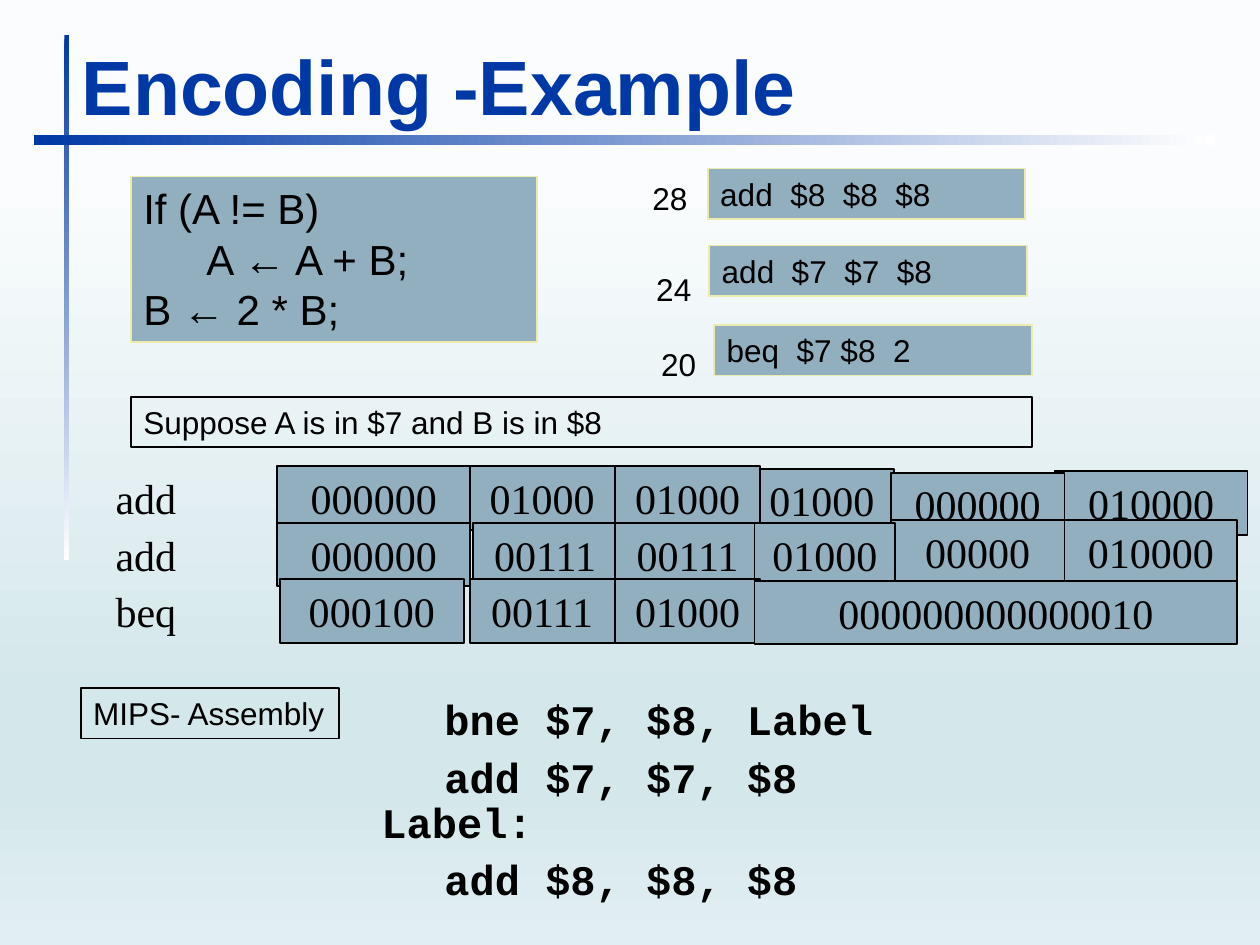
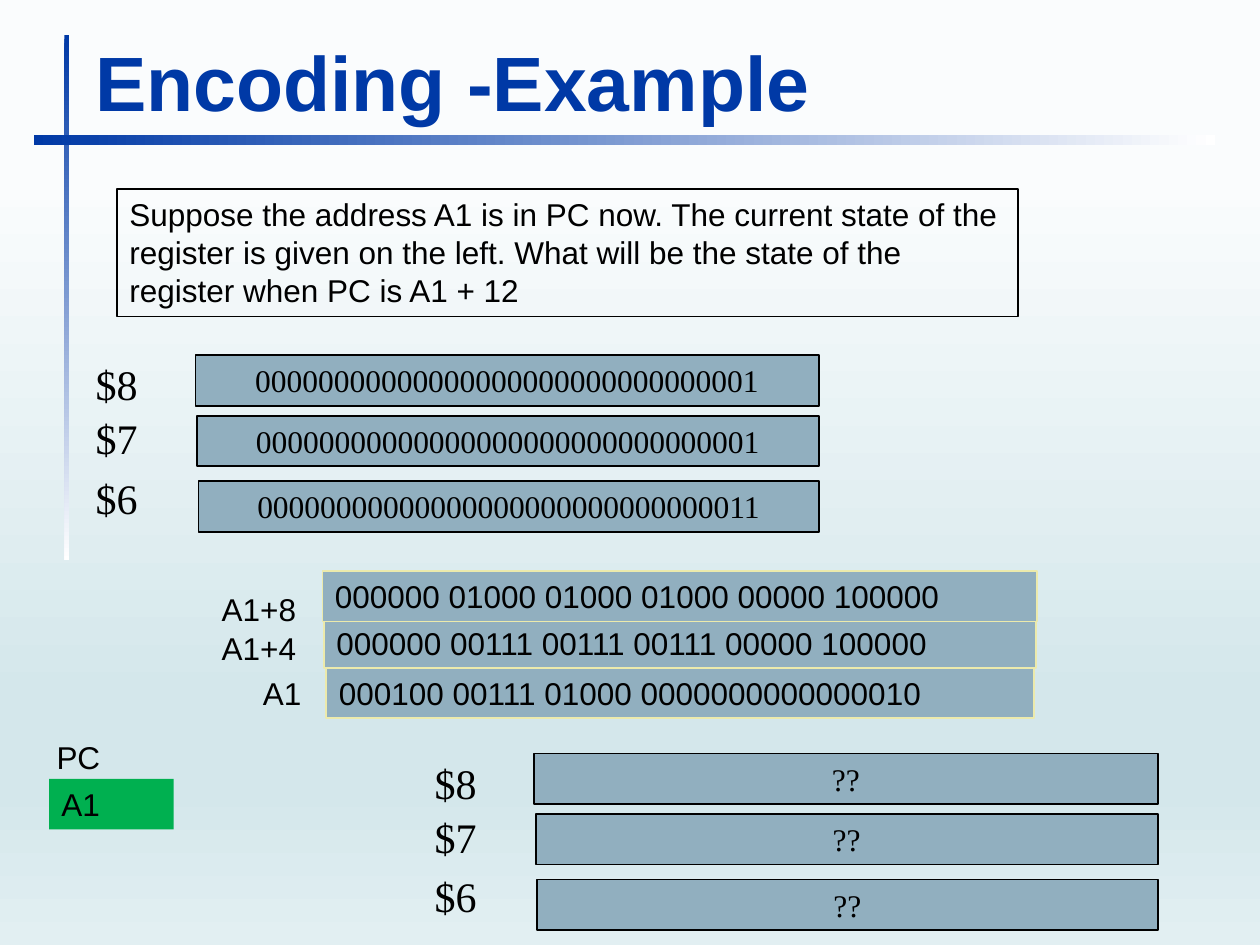
from copy import deepcopy
from pptx import Presentation
from pptx.dml.color import RGBColor
from pptx.enum.shapes import MSO_SHAPE
from pptx.enum.text import MSO_ANCHOR, PP_ALIGN
from pptx.oxml.ns import qn
from pptx.util import Cm, Pt

HUE = {"blue": "0039A6", "steel": "91AFBF", "sand": "ECEAAC",
       "green": "00B050", "black": "000000", "white": "FFFFFF"}
SKY = [(19, "FAFCFD"), (74, "D4E7EB"), (83, "D4E7EB"), (100, "E2EFF2")]
FADE = [(0, HUE["blue"]), (100, HUE["white"])]
BARS = [((1.3, 0.71, 0.1, 10.59), 270), ((0.69, 2.72, 23.8, 0.2), 0)]
TITLE = "Encoding -Example"
SERIF, MONO = "Times New Roman", "Courier New"
LINE, CELL = 1.02, 1.28

CODE = "If (A != B)\v\tA ← A + B;\vB ← 2 * B;"
STEPS = [
    ("20", (13.08, 6.83), "beq  $7 $8  2", (14.4, 6.55)),
    ("24", (12.98, 5.31), "add  $7  $7  $8", (14.3, 4.95)),
    ("28", (12.9, 3.48), "add  $8  $8  $8", (14.27, 3.4)),
]
ROWS = [
    ("add", [("010000", 21.26, 0.1, 3.89), ("01000", 15.11, 0.05, 2.92),
             ("000000", 17.96, 0.13, 3.5), ("000000", 5.59, 0, 3.89),
             ("01000", 9.47, 0, 2.92), ("01000", 12.4, 0, 2.92)]),
    ("add", [("010000", 21.46, -0.05, 3.48), ("00000", 17.96, -0.05, 3.5),
             ("000000", 5.59, 0, 3.89), ("00111", 9.53, 0, 2.92),
             ("00111", 12.4, 0, 2.92), ("01000", 15.21, 0, 2.84)]),
    ("beq", [("000100", 5.64, 0, 3.71), ("00111", 9.47, 0, 2.92),
             ("01000", 12.4, 0, 2.92), ("000000000000010", 15.21, 0.03, 9.73)]),
]
MIPS = "\tbne $7, $8, Label\n\tadd $7, $7, $8\vLabel:\t\n\tadd $8, $8, $8"

TASK = ("Suppose the address A1 is in PC now. The current state of the register "
        "is given on the left. What will be the state of the register when PC is A1 + 12")
REGS = [("$8", 0, 0.05), ("$7", 1.09, 1.27), ("$6", 2.29, 2.59)]
STATES = [
    (1.68, 7.11, ["0" * 31 + "1", "0" * 31 + "1", "0" * 30 + "11"]),
    (8.51, 15.14, ["??"] * 3),
]
WORDS = [
    ("A1", (5.05, 13.46), "000100 00111 01000 0000000000000010", (6.58, 13.46, 14.27)),
    ("A1+4", (4.22, 12.55), "000000 00111 00111 00111 00000 100000", (6.53, 12.45, 14.35)),
    ("A1+8", (4.22, 11.76), "000000 01000 01000 01000 00000 100000", (6.5, 11.51, 14.4)),
]


def tint(name):
    return RGBColor.from_string(HUE[name])


def blend(fill, root, stops, angle):
    fill.gradient()
    fill.gradient_angle = angle
    group = next(root.iter(qn("a:gsLst")))
    model = deepcopy(group[0])
    for old in list(group):
        group.remove(old)
    for place, shade in stops:
        stop = deepcopy(model)
        stop.set("pos", str(place * 1000))
        for old in list(stop):
            stop.remove(old)
        stop.append(stop.makeelement(qn("a:srgbClr"), {"val": shade}))
        group.append(stop)


def put(page, text, box, size=18, font="Arial", ink="black", bold=False, fill=None,
        line=None, align=PP_ALIGN.LEFT, anchor=MSO_ANCHOR.TOP, wrap=True, lead=None, gap=0):
    spot = [Cm(n) for n in box]
    if fill or line:
        shape = page.shapes.add_shape(MSO_SHAPE.RECTANGLE, *spot)
        shape.shadow.inherit = False
        if fill:
            shape.fill.solid()
            shape.fill.fore_color.rgb = tint(fill)
        else:
            shape.fill.background()
        if line:
            shape.line.color.rgb = tint(line)
            shape.line.width = Pt(1)
        else:
            shape.line.fill.background()
    else:
        shape = page.shapes.add_textbox(*spot)
    frame = shape.text_frame
    frame.word_wrap = wrap
    frame.vertical_anchor = anchor
    frame.text = text
    for para in frame.paragraphs:
        para.alignment = align
        para.line_spacing = lead
        para.space_before = Pt(gap)
        for run in para.runs:
            run.font.size = Pt(size)
            run.font.name = font
            run.font.bold = bold
            run.font.color.rgb = tint(ink)


def start(deck, left, top):
    page = deck.slides.add_slide(deck.slide_layouts[6])
    blend(page.background.fill, page.element, SKY, 270)
    for box, angle in BARS:
        bar = page.shapes.add_shape(MSO_SHAPE.RECTANGLE, *[Cm(n) for n in box])
        bar.shadow.inherit = False
        bar.line.fill.background()
        blend(bar.fill, bar.element, FADE, angle)
    put(page, TITLE, (left, top, 23.47, 2.13), size=44, ink="blue", bold=True,
        anchor=MSO_ANCHOR.BOTTOM)
    return page


def encode(deck):
    page = start(deck, 1.4, 0.64)
    cell = dict(size=24, font=SERIF)
    for i, (name, bits) in enumerate(ROWS):
        top = 9.4 + 1.14 * i
        put(page, name, (2.08, top, 3.05, CELL), **cell)
        for text, left, drop, width in bits:
            put(page, text, (left, top + drop, width, CELL), fill="steel", line="black",
                align=PP_ALIGN.CENTER, **cell)
    put(page, CODE, (2.64, 3.56, 8.18, 3.33), size=24, fill="steel", line="sand")
    for label, mark, text, spot in STEPS:
        put(page, text, (*spot, 6.4, LINE), fill="steel", line="sand")
        put(page, label, (*mark, 1.4, LINE))
    put(page, "Suppose A is in $7 and B is in $8", (2.64, 8, 18.16, LINE), line="black")
    put(page, "MIPS- Assembly", (1.63, 13.87, 5.21, LINE), line="black", wrap=False)
    put(page, MIPS, (7.44, 13.97, 14.71, 4.52), size=24, font=MONO, bold=True,
        lead=0.9, gap=7)


def trace(deck):
    page = start(deck, 1.68, 0.56)
    for left, top, values in STATES:
        for i, ((name, drop, fall), value) in enumerate(zip(REGS, values)):
            put(page, name, (left, top + drop, 1.83, CELL), size=24, font=SERIF)
            put(page, value, (left + 2.26 + 0.03 * i, top + fall, 12.57 - 0.03 * i, LINE),
                font=SERIF, fill="steel", line="black", align=PP_ALIGN.CENTER)
    put(page, TASK, (2.36, 3.81, 18.16, 2.57), line="black")
    for label, mark, text, (left, top, width) in WORDS:
        put(page, text, (left, top, width, LINE), fill="steel", line="sand")
        put(page, label, (*mark, 2.34, LINE))
    put(page, "PC", (0.89, 14.76, 3.4, LINE))
    put(page, "A1", (0.99, 15.7, 2.51, LINE), fill="green")


def main():
    deck = Presentation()
    deck.slide_width, deck.slide_height = Cm(25.4), Cm(19.05)
    encode(deck)
    trace(deck)
    deck.save("out.pptx")


if __name__ == "__main__":
    main()
